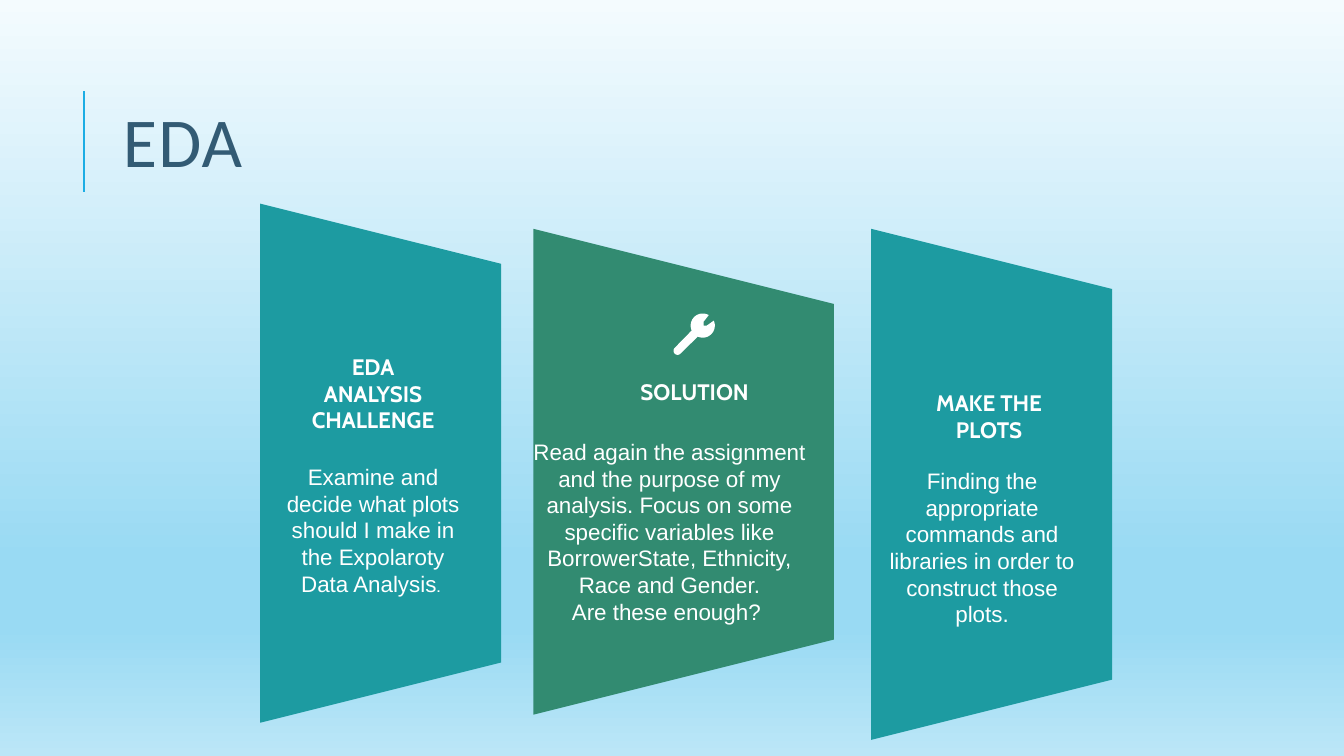
"""Build the EDA slide with three angled panels."""
import math

import lxml.etree
import pptx
import pptx.dml.color
import pptx.enum.shapes
import pptx.enum.text
import pptx.oxml
import pptx.oxml.ns
import pptx.util

Inches = pptx.util.Inches
Pt = pptx.util.Pt
RGBColor = pptx.dml.color.RGBColor

TEAL = RGBColor(0x1D, 0x9B, 0xA1)
GREEN = RGBColor(0x32, 0x8B, 0x71)
WHITE = RGBColor(0xFF, 0xFF, 0xFF)
NAVY = RGBColor(0x33, 0x5B, 0x74)
BLUE = RGBColor(0x1C, 0xAD, 0xE4)
SKY_STOPS = [
    (0, RGBColor(0xF4, 0xFB, 0xFE)),
    (74, RGBColor(0x99, 0xDA, 0xF3)),
    (83, RGBColor(0x99, 0xDA, 0xF3)),
    (100, RGBColor(0xBB, 0xE6, 0xF7)),
]

PANELS = [
    (TEAL, (1.2, 3.4, 5.15, 2.39)),
    (GREEN, (4.37, 3.19, 4.82, 2.98)),
    (TEAL, (7.3, 3.61, 5.07, 2.39)),
]
HEADINGS = [
    ("EDA\nANALYSIS CHALLENGE", (2.95, 3.5, 1.5, 0.81)),
    ("SOLUTION", (6.14, 3.75, 1.5, 0.27)),
    ("MAKE THE PLOTS", (9.06, 3.86, 1.5, 0.54)),
]
BODIES = [
    ("Examine and decide what plots should I make in the Expolaroty Data Analysis",
     (2.74, 4.6, 1.92, 1.33)),
    ("Read again the assignment and the purpose of my analysis. Focus on some "
     "specific variables like BorrowerState, Ethnicity, Race and Gender.\v"
     "Are these enough? ", (5.15, 4.35, 2.98, 1.87)),
    ("Finding the appropriate commands and libraries in order to construct those plots.",
     (8.78, 4.64, 1.92, 1.6)),
]


def fill_background(page):
    """Fill the page with a vertical sky gradient."""
    fill = page.background.fill
    fill.gradient()
    fill.gradient_angle = 270
    stops = page.background._cSld.find(".//" + pptx.oxml.ns.qn("a:gsLst"))
    for stop in list(stops):
        stops.remove(stop)
    for percent, color in SKY_STOPS:
        stop = lxml.etree.SubElement(
            stops, pptx.oxml.ns.qn("a:gs"), pos=str(percent * 1000))
        lxml.etree.SubElement(stop, pptx.oxml.ns.qn("a:srgbClr"), val=str(color))


def style_span(span, font_name, size, color, bold=False):
    """Set the font of one run."""
    span.font.name = font_name
    span.font.size = Pt(size)
    span.font.color.rgb = color
    span.font.bold = bold


def paint(shape, color):
    """Give a shape a flat fill without line or shadow."""
    shape.shadow.inherit = False
    shape.fill.solid()
    shape.fill.fore_color.rgb = color
    shape.line.fill.background()


def add_accent_line(page):
    """Add the thin vertical line beside the title."""
    line = page.shapes.add_connector(
        pptx.enum.shapes.MSO_CONNECTOR.STRAIGHT,
        Inches(0.83), Inches(1.9), Inches(0.83), Inches(0.9))
    line.line.color.rgb = BLUE
    line.line.width = Pt(1.5)
    lxml.etree.SubElement(line._element.spPr, pptx.oxml.ns.qn("a:effectLst"))


def add_title(page):
    """Add the slide title."""
    box = page.shapes.add_textbox(
        Inches(1.12), Inches(0.64), Inches(10.63), Inches(1.64))
    frame = box.text_frame
    frame.word_wrap = True
    frame.vertical_anchor = pptx.enum.text.MSO_ANCHOR.MIDDLE
    frame.text = "EDA"
    para = frame.paragraphs[0]
    para.line_spacing = 0.8
    span = para.runs[0]
    style_span(span, "Calibri", 50, NAVY)
    span._r.get_or_add_rPr().set("spc", "100")


def add_panel(page, color, bounds):
    """Add a trapezoid turned so that its short side faces right."""
    panel = page.shapes.add_shape(
        pptx.enum.shapes.MSO_SHAPE.TRAPEZOID, *map(Inches, bounds))
    panel.rotation = 90
    paint(panel, color)


def add_label(page, text, bounds, font_name, bold=False, spacing=None):
    """Add a centred white text box without insets and return it."""
    box = page.shapes.add_textbox(*map(Inches, bounds))
    frame = box.text_frame
    frame.margin_left = frame.margin_right = 0
    frame.margin_top = frame.margin_bottom = 0
    frame.word_wrap = True
    frame.auto_size = pptx.enum.text.MSO_AUTO_SIZE.SHAPE_TO_FIT_TEXT
    frame.text = text
    for para in frame.paragraphs:
        para.alignment = pptx.enum.text.PP_ALIGN.CENTER
        para.line_spacing = spacing
        for span in para.runs:
            style_span(span, font_name, 16, WHITE, bold)
    return box


def arc(center, radius, start, end):
    """Return points along a circular arc, with angles in degrees."""
    steps = 16
    angles = [math.radians(start + (end - start) * step / steps)
              for step in range(steps + 1)]
    return [(center[0] + radius * math.cos(angle),
             center[1] + radius * math.sin(angle)) for angle in angles]


def add_wrench(page):
    """Add the white wrench icon."""
    head = (6.97, 3.23)
    jaw = [(6.98, 3.19), (6.98, 3.23), (7.01, 3.23)]
    outline = (arc(head, 0.12, -24, 114)
               + arc((6.72, 3.48), 0.04, 45, 225)
               + arc(head, 0.12, 156, 300) + jaw)
    points = [(Inches(x), Inches(y)) for x, y in outline]
    builder = page.shapes.build_freeform(*points[0])
    builder.add_line_segments(points[1:], close=True)
    paint(builder.convert_to_shape(), WHITE)


def main():
    """Build and save the deck."""
    deck = pptx.Presentation()
    deck.slide_width = Inches(13.33)
    deck.slide_height = Inches(7.5)
    page = deck.slides.add_slide(deck.slide_layouts[6])
    fill_background(page)
    add_accent_line(page)
    for color, bounds in PANELS:
        add_panel(page, color, bounds)
    for text, bounds in HEADINGS:
        add_label(page, text, bounds, "Cabin", bold=True)
    bodies = [add_label(page, text, bounds, "Arial", spacing=Pt(19))
              for text, bounds in BODIES]
    full_stop = bodies[0].text_frame.paragraphs[0].add_run()
    full_stop.text = ". "
    style_span(full_stop, "Cabin", 14, WHITE)
    add_wrench(page)
    add_title(page)
    deck.save("out.pptx")


if __name__ == "__main__":
    main()
